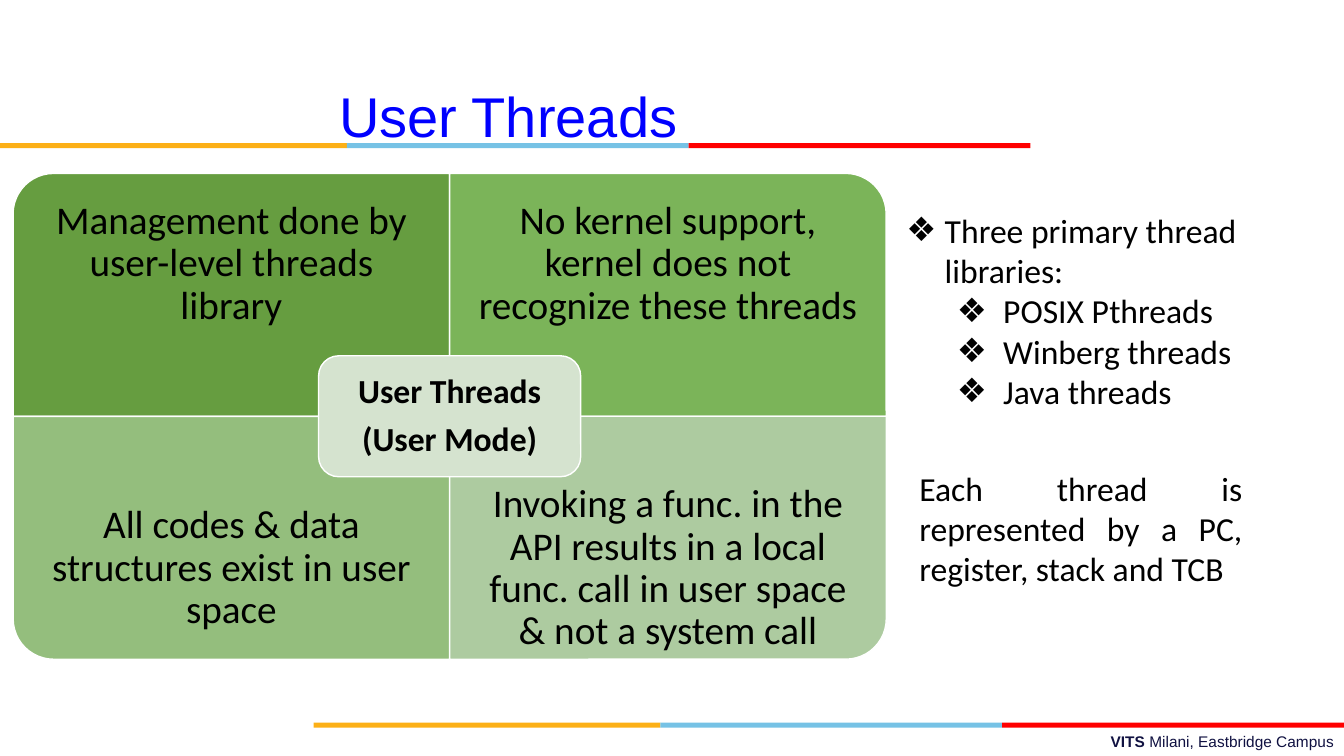
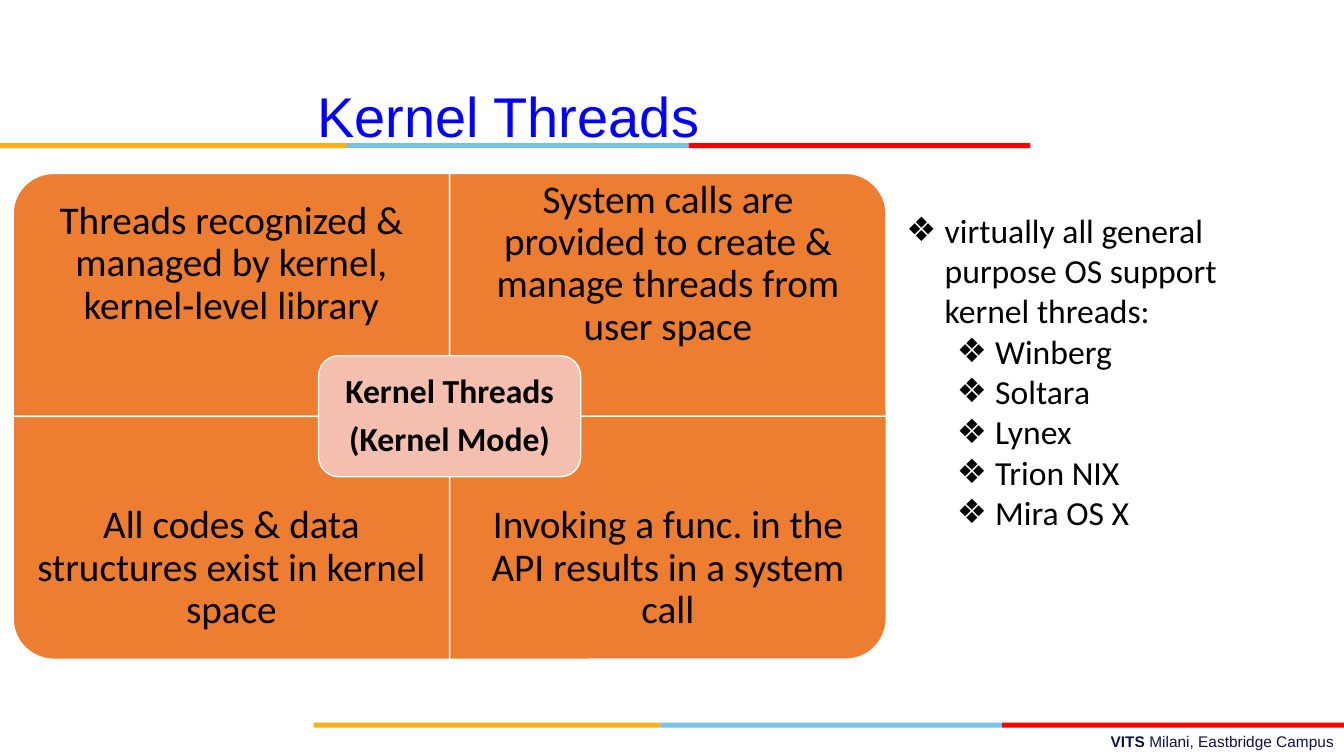
from lxml.etree import SubElement
from pptx import Presentation
from pptx.dml.color import RGBColor as RGB
from pptx.enum.shapes import MSO_SHAPE as Preset
from pptx.enum.text import MSO_ANCHOR as Anchor, MSO_AUTO_SIZE as AutoSize, PP_ALIGN as Align
from pptx.oxml.ns import qn
from pptx.util import Inches, Pt

BLACK = RGB(0x00, 0x00, 0x00)
WHITE = RGB(0xFF, 0xFF, 0xFF)
TITLE_BLUE = RGB(0x00, 0x00, 0xFF)
FOOTER_NAVY = RGB(0x10, 0x11, 0x41)
ORANGE = RGB(0xED, 0x7D, 0x31)
PEACH = RGB(0xF4, 0xBF, 0xAE)
PALE_GREEN = RGB(0xD5, 0xE3, 0xCF)
GREENS = [RGB(0x66, 0x9D, 0x40), RGB(0x7B, 0xB4, 0x59),
          RGB(0x94, 0xBE, 0x7D), RGB(0xAD, 0xCB, 0xA0)]
BAND_SEGMENTS = [(RGB(0xFC, 0xB0, 0x17), 3.44), (RGB(0x76, 0xC2, 0xE5), 3.39),
                 (RGB(0xFF, 0x00, 0x00), 3.39)]
BAND_ORIGINS = [(0, 1.42), (3.11, 7.17)]
FOOTER = [("VITS ", True), ("Milani, Eastbridge Campus", False)]

SLIDES = [
    {
        "title": "User Threads",
        "quadrants": [
            "Management done by user-level threads library",
            "No kernel support, kernel does not recognize these threads",
            "All codes & data structures exist in user space",
            "Invoking a func. in the API results in a local func. call "
            "in user space & not a system call",
        ],
        "fills": GREENS,
        "center": ["User Threads", "(User Mode)"],
        "center_fill": PALE_GREEN,
        "lead": "Three primary thread libraries:",
        "items": ["POSIX Pthreads", "Winberg threads", "Java threads"],
        "hanging": 0.46,
        "body_height": 2.12,
        "remark": "Each thread is represented by a PC, register, stack and TCB",
    },
    {
        "title": "Kernel Threads",
        "quadrants": [
            "Threads recognized & managed by kernel, kernel-level library",
            "System calls are provided to create & manage threads from user space",
            "All codes & data structures exist in kernel space",
            "Invoking a func. in the API results in a system call",
        ],
        "fills": [ORANGE] * 4,
        "center": ["Kernel Threads", "(Kernel Mode)"],
        "center_fill": PEACH,
        "lead": "virtually all general purpose OS support kernel threads:",
        "items": ["Winberg", "Soltara", "Lynex", "Trion NIX", "Mira OS X"],
        "hanging": 0.38,
        "body_height": 3.33,
        "remark": None,
    },
]

GRID_LEFT, GRID_TOP = 0.13, 1.72
CELL_WIDTH, CELL_HEIGHT = 4.33, 2.41
CELL_TEXT_HEIGHT = 1.8
CENTER_WIDTH, CENTER_HEIGHT = 2.6, 1.2
CORNER_ROTATIONS = [270, 0, 180, 90]


def place(shape, left, top, width, height):
    shape.left, shape.top = Inches(left), Inches(top)
    shape.width, shape.height = Inches(width), Inches(height)


def add_run(paragraph, text, size, font="Calibri", color=BLACK, bold=False):
    run = paragraph.add_run()
    run.text = text
    run.font.name, run.font.size, run.font.bold = font, Pt(size), bold
    run.font.color.rgb = color


def add_paragraph(frame, index):
    return frame.add_paragraph() if index else frame.paragraphs[0]


def add_preset(slide, preset, box, fill, outline=None):
    shape = slide.shapes.add_shape(preset, *map(Inches, box))
    shape.shadow.inherit = False
    shape.fill.solid()
    shape.fill.fore_color.rgb = fill
    if outline is None:
        shape.line.fill.background()
    else:
        shape.line.color.rgb = outline
        shape.line.width = Pt(1)
    return shape


def add_text_box(slide, box):
    frame = slide.shapes.add_textbox(*map(Inches, box)).text_frame
    frame.word_wrap = True
    return frame


def fill_centered(frame, lines, size, inset, bold=False):
    frame.word_wrap = True
    frame.vertical_anchor = Anchor.MIDDLE
    frame.margin_left = frame.margin_right = Inches(inset)
    frame.margin_top = frame.margin_bottom = Inches(inset)
    for index, line in enumerate(lines):
        paragraph = add_paragraph(frame, index)
        paragraph.alignment = Align.CENTER
        paragraph.line_spacing = 0.9
        paragraph.space_after = Pt(0.35 * size)
        add_run(paragraph, line, size, bold=bold)


def add_bands_and_footer(slide):
    for left, top in BAND_ORIGINS:
        for color, width in BAND_SEGMENTS:
            add_preset(slide, Preset.RECTANGLE, (left, top, width, 0.05), color)
            left += width
    paragraph = add_text_box(slide, (4.78, 7.21, 8.55, 0.29)).paragraphs[0]
    paragraph.alignment = Align.RIGHT
    for text, bold in FOOTER:
        add_run(paragraph, text, 11, "Arial", FOOTER_NAVY, bold)


def set_title(slide, text):
    title = slide.shapes.title
    place(title, 0.39, 0.76, 9.3, 0.77)
    frame = title.text_frame
    frame.auto_size = AutoSize.NONE
    frame.vertical_anchor = Anchor.TOP
    frame.paragraphs[0].alignment = Align.CENTER
    add_run(frame.paragraphs[0], text, 40, "Arial", TITLE_BLUE)


def add_matrix(slide, content):
    cells = zip(content["quadrants"], content["fills"], CORNER_ROTATIONS)
    for index, (text, fill, rotation) in enumerate(cells):
        row, column = divmod(index, 2)
        left = GRID_LEFT + column * CELL_WIDTH
        top = GRID_TOP + row * CELL_HEIGHT
        width, height = CELL_WIDTH, CELL_HEIGHT
        if rotation % 180:
            width, height = height, width
        box = (left + (CELL_WIDTH - width) / 2, top + (CELL_HEIGHT - height) / 2, width, height)
        add_preset(slide, Preset.ROUND_1_RECTANGLE, box, fill, WHITE).rotation = rotation
        text_top = top + row * (CELL_HEIGHT - CELL_TEXT_HEIGHT)
        frame = add_text_box(slide, (left, text_top, CELL_WIDTH, CELL_TEXT_HEIGHT))
        fill_centered(frame, [text], 28, 0.22)
    box = (GRID_LEFT + CELL_WIDTH - CENTER_WIDTH / 2,
           GRID_TOP + CELL_HEIGHT - CENTER_HEIGHT / 2, CENTER_WIDTH, CENTER_HEIGHT)
    center = add_preset(slide, Preset.ROUNDED_RECTANGLE, box, content["center_fill"], WHITE)
    fill_centered(center.text_frame, content["center"], 24, 0.1, bold=True)


def set_bullet(paragraph, start, hanging):
    properties = paragraph._p.get_or_add_pPr()
    properties.set("marL", str(Inches(start + hanging)))
    properties.set("indent", str(-Inches(hanging)))
    SubElement(properties, qn("a:buChar")).set("char", "❖")


def fill_body(slide, content):
    body = slide.placeholders[1]
    place(body, 8.89, 2.03, 3.54, content["body_height"])
    frame = body.text_frame
    frame.auto_size = AutoSize.NONE
    for index, text in enumerate([content["lead"]] + content["items"]):
        paragraph = add_paragraph(frame, index)
        paragraph.level = min(index, 1)
        paragraph.space_before = Pt(0)
        if index:
            set_bullet(paragraph, 0.5, content["hanging"])
        else:
            set_bullet(paragraph, 0, 0.38)
        add_run(paragraph, text, 24)


def add_remark(slide, text):
    paragraph = add_text_box(slide, (9.02, 4.59, 3.4, 1.31)).paragraphs[0]
    paragraph.alignment = Align.JUSTIFY
    add_run(paragraph, text, 24)


def main():
    presentation = Presentation()
    presentation.slide_width, presentation.slide_height = Inches(13.33), Inches(7.5)
    for content in SLIDES:
        slide = presentation.slides.add_slide(presentation.slide_layouts[1])
        add_bands_and_footer(slide)
        set_title(slide, content["title"])
        add_matrix(slide, content)
        fill_body(slide, content)
        if content["remark"]:
            add_remark(slide, content["remark"])
    presentation.save("out.pptx")


if __name__ == "__main__":
    main()
